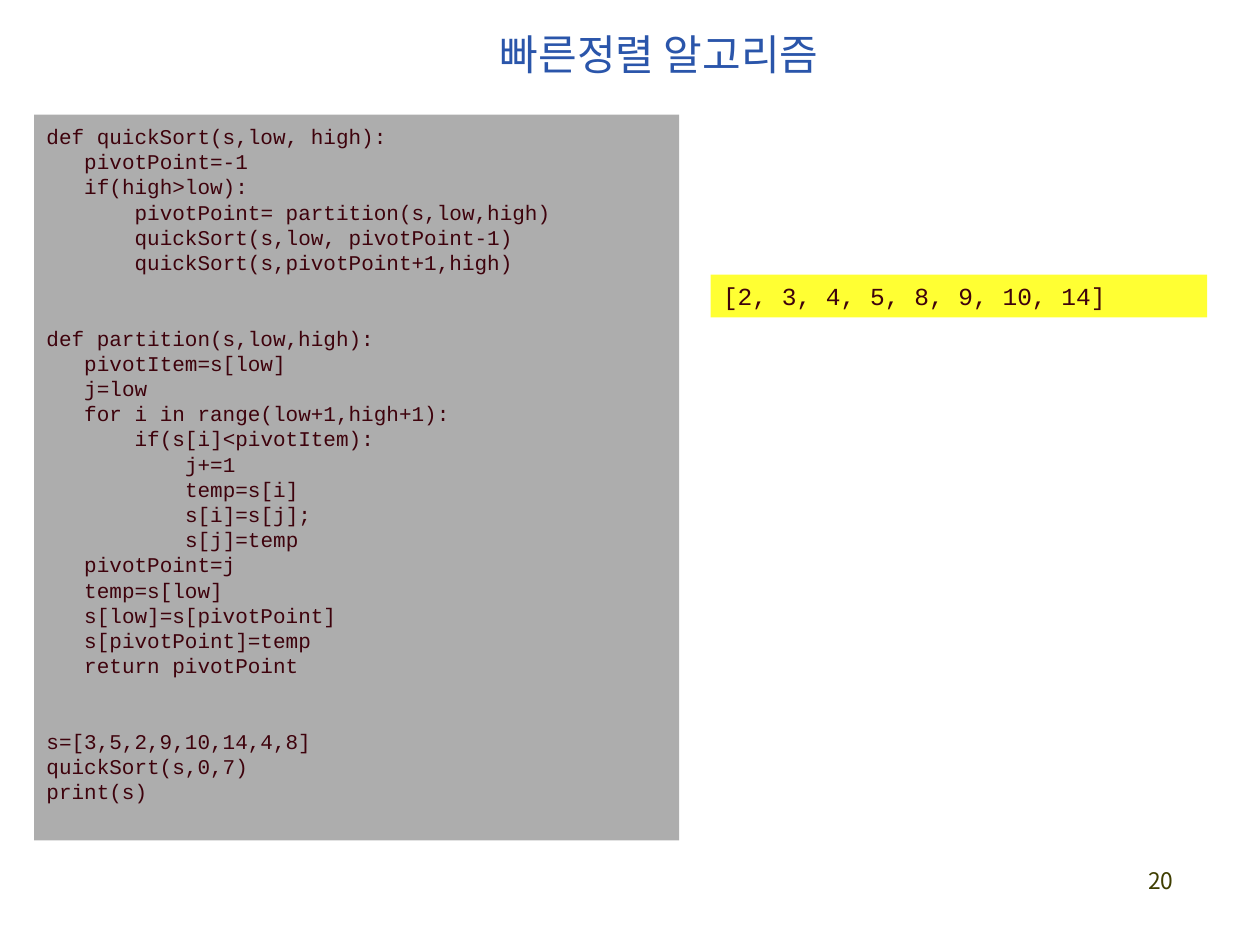
from pptx import Presentation
from pptx.dml.color import RGBColor
from pptx.enum.shapes import MSO_SHAPE
from pptx.enum.text import MSO_ANCHOR, PP_ALIGN
from pptx.util import Inches, Pt

CODE_FONT = "Courier New"
CODE_COLOR = "3E020C"
CODE_SIZE = 12
LINE_PITCH = 14.4
CHARACTER_WIDTH = 0.1  # inches, Courier New at 12 points

CODE = """\
def quickSort(s,low, high):
   pivotPoint=-1
   if(high>low):
       pivotPoint= partition(s,low,high)
       quickSort(s,low, pivotPoint-1)
       quickSort(s,pivotPoint+1,high)


def partition(s,low,high):
   pivotItem=s[low]
   j=low
   for i in range(low+1,high+1):
       if(s[i]<pivotItem):
           j+=1
           temp=s[i]
           s[i]=s[j];
           s[j]=temp
   pivotPoint=j
   temp=s[low]
   s[low]=s[pivotPoint]
   s[pivotPoint]=temp
   return pivotPoint


s=[3,5,2,9,10,14,4,8]
quickSort(s,0,7)
print(s)"""


def color(value):
    return RGBColor.from_string(value)


def place(box, left, top, width, height):
    box.left, box.top = Inches(left), Inches(top)
    box.width, box.height = Inches(width), Inches(height)


def write(para, text, *, size, font, ink, align=PP_ALIGN.LEFT):
    para.alignment = align
    span = para.add_run()
    span.text = text
    span.font.size = Pt(size)
    span.font.name = font
    span.font.color.rgb = color(ink)


def add_panel(page, left, top, width, height, fill, anchor):
    box = page.shapes.add_shape(MSO_SHAPE.RECTANGLE, Inches(left), Inches(top),
                                Inches(width), Inches(height))
    box.shadow.inherit = False
    box.fill.solid()
    box.fill.fore_color.rgb = color(fill)
    box.line.fill.background()
    box.text_frame.word_wrap = True
    box.text_frame.vertical_anchor = anchor
    return box.text_frame


def write_code(frame, code):
    """Leading spaces become a left indent, empty lines become space before."""
    para, skipped = frame.paragraphs[0], 0
    for number, line in enumerate(code.splitlines()):
        text = line.lstrip()
        if not text:
            skipped += 1
            continue
        if number:
            para = frame.add_paragraph()
        indent = Inches((len(line) - len(text)) * CHARACTER_WIDTH)
        properties = para._p.get_or_add_pPr()
        properties.set("marL", str(indent))
        properties.set("indent", "0")
        para.line_spacing = Pt(LINE_PITCH)
        para.space_before = Pt(skipped * LINE_PITCH)
        write(para, text, size=CODE_SIZE, font=CODE_FONT, ink=CODE_COLOR)
        skipped = 0


def add_title(page, text):
    title = page.shapes.title
    place(title, 2.24, 0.13, 5.98, 0.59)
    title.text_frame.vertical_anchor = MSO_ANCHOR.MIDDLE
    write(title.text_frame.paragraphs[0], text, size=24,
          font="Times New Roman", ink="2A55AA", align=PP_ALIGN.CENTER)


def add_page_number(page, text):
    box = page.shapes.add_textbox(Inches(7.33), Inches(6.83),
                                  Inches(2.08), Inches(0.5))
    box.text_frame.word_wrap = True
    write(box.text_frame.paragraphs[0], text, size=13,
          font="Noto Sans CJK KR", ink="3F3E00", align=PP_ALIGN.RIGHT)


def main():
    deck = Presentation()
    deck.slide_width, deck.slide_height = Inches(10), Inches(7.5)
    page = deck.slides.add_slide(deck.slide_layouts[5])

    add_page_number(page, "20")
    add_title(page, "빠른정렬 알고리즘")

    # Program listing
    listing = add_panel(page, 0.27, 0.91, 5.12, 5.76, "ADADAD", MSO_ANCHOR.TOP)
    listing.margin_top = Inches(0.07)
    write_code(listing, CODE)

    # Program output
    output = add_panel(page, 5.64, 2.18, 3.94, 0.34, "FFFF33", MSO_ANCHOR.MIDDLE)
    write(output.paragraphs[0], "[2, 3, 4, 5, 8, 9, 10, 14]",
          size=14, font=CODE_FONT, ink=CODE_COLOR)

    deck.save("out.pptx")


if __name__ == "__main__":
    main()
